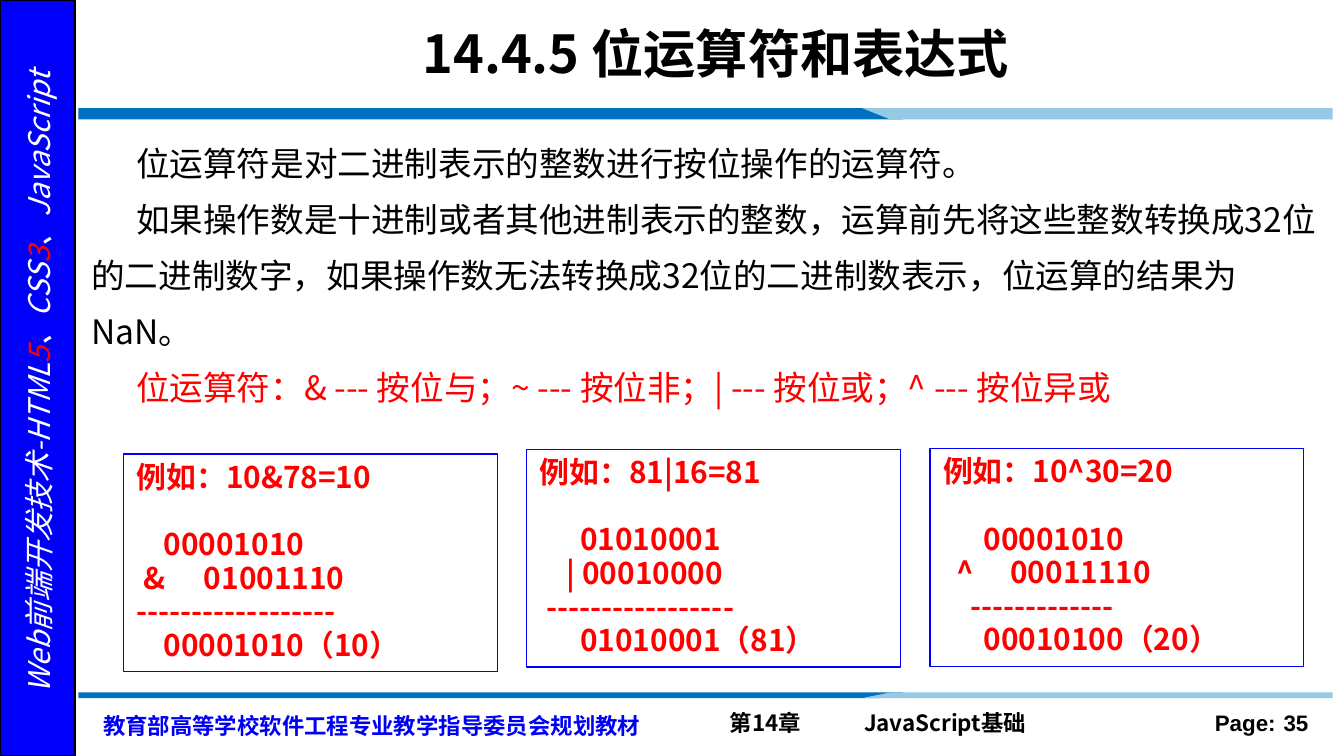
"""Build the slide on bitwise operators and expressions."""
from lxml.etree import SubElement
from pptx import Presentation
from pptx.dml.color import RGBColor
from pptx.enum.shapes import MSO_SHAPE
from pptx.enum.text import MSO_ANCHOR, PP_ALIGN
from pptx.oxml.ns import qn
from pptx.util import Pt

BLACK = RGBColor(0x00, 0x00, 0x00)
WHITE = RGBColor(0xFF, 0xFF, 0xFF)
RED = RGBColor(0xFF, 0x00, 0x00)
BLUE = RGBColor(0x00, 0x00, 0xFA)
BAR_BLUE = RGBColor(0x00, 0x70, 0xC0)
BAR_LIGHT = RGBColor(0x96, 0xCA, 0xE4)
CJK = "Noto Sans CJK SC"

TITLE = "14.4.5 位运算符和表达式"
BODY = [
    ("位运算符是对二进制表示的整数进行按位操作的运算符。", BLACK),
    ("如果操作数是十进制或者其他进制表示的整数，运算前先将这些整数转换成32位的二进制数字，"
     "如果操作数无法转换成32位的二进制数表示，位运算的结果为NaN。", BLACK),
    ("位运算符：& --- 按位与；~ --- 按位非；| --- 按位或；^ --- 按位异或", RED),
]
EXAMPLES = [
    {"top": 243.3, "tab": 22.5, "lines": [
        ("例如：10&78=10", 0), ("00001010", 14.4), ("&\t01001110", 3.6),
        ("-" * 18, 0), ("00001010（10）", 14.4)]},
    {"top": 240.8, "tab": None, "lines": [
        ("例如：81|16=81", 0), ("01010001", 21.6), ("| 00010000", 14.4),
        ("-" * 17, 3.6), ("01010001（81）", 21.6)]},
    {"top": 240.4, "tab": 27.3, "lines": [
        ("例如：10^30=20", 0), ("00001010", 21.6), ("^\t00011110", 7.2),
        ("-" * 13, 14.4), ("00010100（20）", 21.6)]},
]
SIDE = [("Web前端开发技术-HTML", WHITE), ("5", RED), ("、CSS", WHITE),
        ("3", RED), ("、JavaScript", WHITE)]
FOOTERS = [
    {"text": "第14章\tJavaScript基础", "box": (383.8, 376.6, 236.9, 21.6), "tab": 52},
    {"text": "Page:\t35", "box": (624.2, 376.6, 90, 21.6), "tab": 61.8,
     "indent": 19.5, "name": "Arial"},
    {"text": "教育部高等学校软件工程专业教学指导委员会规划教材",
     "box": (48.2, 376.6, 311.8, 25.2), "color": BLUE, "spacing": 16},
]
BARS = [(58.4, 64.5), (374.2, 370.7)]
BAR_LEFT, BAR_RIGHT = 42, 714
LIGHT_TIP, LIGHT_START, BLUE_END, BLUE_TIP = 462, 476.6, 471, 484

EXAMPLE_LEFT, EXAMPLE_STEP, EXAMPLE_SIZE = 66.2, 216, (200.2, 116.6)

deck = Presentation()
deck.slide_width, deck.slide_height = Pt(720), Pt(405)
slide = deck.slides.add_slide(deck.slide_layouts[6])
shapes = slide.shapes


def lengths(values):
    return [Pt(value) for value in values]


def paint(shape, fill=None, line=None, width=1):
    shape.shadow.inherit = False
    if fill is None:
        shape.fill.background()
    else:
        shape.fill.solid()
        shape.fill.fore_color.rgb = fill
    if line is None:
        shape.line.fill.background()
    else:
        shape.line.color.rgb = line
        shape.line.width = Pt(width)


def text_box(box, anchor=MSO_ANCHOR.TOP):
    shape = shapes.add_textbox(*lengths(box))
    shape.text_frame.word_wrap = True
    shape.text_frame.vertical_anchor = anchor
    return shape


def write(frame, index, runs, indent=0, tab=None, paragraph_format=None, **font_format):
    paragraph = frame.paragraphs[0] if index == 0 else frame.add_paragraph()
    for key, value in (paragraph_format or {}).items():
        setattr(paragraph, key, value)
    properties = paragraph._p.get_or_add_pPr()
    properties.set("marL", "0")
    properties.set("indent", str(int(Pt(indent))))
    if tab:
        stops = SubElement(properties, qn("a:tabLst"))
        SubElement(stops, qn("a:tab"), pos=str(int(Pt(tab))), algn="l")
    for text, color in runs:
        run = paragraph.add_run()
        run.text = text
        for key, value in {"name": CJK, **font_format}.items():
            setattr(run.font, key, value)
        run.font.color.rgb = color
        SubElement(run._r.get_or_add_rPr(), qn("a:ea"), typeface=run.font.name)


def polygon(points, color):
    builder = shapes.build_freeform(*points[0], scale=Pt(1))
    builder.add_line_segments(points[1:], close=True)
    paint(builder.convert_to_shape(), color)


for footer in FOOTERS:
    spacing = {"line_spacing": Pt(footer["spacing"])} if "spacing" in footer else None
    write(text_box(footer["box"]).text_frame, 0,
          [(footer["text"], footer.get("color", BLACK))],
          footer.get("indent", 0), footer.get("tab"), spacing,
          name=footer.get("name", CJK), size=Pt(12), bold=True)

side_band = shapes.add_shape(MSO_SHAPE.RECTANGLE, *lengths((0, 0, 40.3, 405)))
paint(side_band, BLUE, BLACK)
side_title = text_box((-166.3, 191.5, 373.7, 26.6))
side_title.rotation = 270
write(side_title.text_frame, 0, SIDE, paragraph_format={"alignment": PP_ALIGN.CENTER},
      size=Pt(16), italic=True)

for outer, inner in BARS:
    polygon([(BAR_LEFT, outer), (BLUE_END, outer), (BLUE_TIP, inner),
             (BAR_LEFT, inner)], BAR_BLUE)
    polygon([(LIGHT_TIP, outer), (BAR_RIGHT, outer), (BAR_RIGHT, inner),
             (LIGHT_START, inner)], BAR_LIGHT)

title = text_box((77.8, 5.8, 611.3, 44.6), MSO_ANCHOR.MIDDLE)
write(title.text_frame, 0, [(TITLE, BLACK)],
      paragraph_format={"alignment": PP_ALIGN.CENTER}, size=Pt(28), bold=True)

body = text_box((41.8, 64.8, 670.3, 174.2))
for index, line in enumerate(BODY):
    write(body.text_frame, index, [line], 24,
          paragraph_format={"line_spacing": Pt(30)}, size=Pt(18))

for column, example in enumerate(EXAMPLES):
    left = EXAMPLE_LEFT + column * EXAMPLE_STEP
    panel = shapes.add_shape(MSO_SHAPE.RECTANGLE,
                             *lengths((left, example["top"], *EXAMPLE_SIZE)))
    paint(panel, line=BLUE, width=0.75)
    panel.text_frame.word_wrap = True
    panel.text_frame.vertical_anchor = MSO_ANCHOR.TOP
    for index, (text, indent) in enumerate(example["lines"]):
        layout = {"alignment": PP_ALIGN.LEFT, "line_spacing": Pt(18),
                  "space_after": Pt(18 if index == 0 else 0)}
        write(panel.text_frame, index, [(text, RED)], indent,
              example["tab"] if "\t" in text else None, layout,
              size=Pt(16), bold=True)

deck.save("out.pptx")
